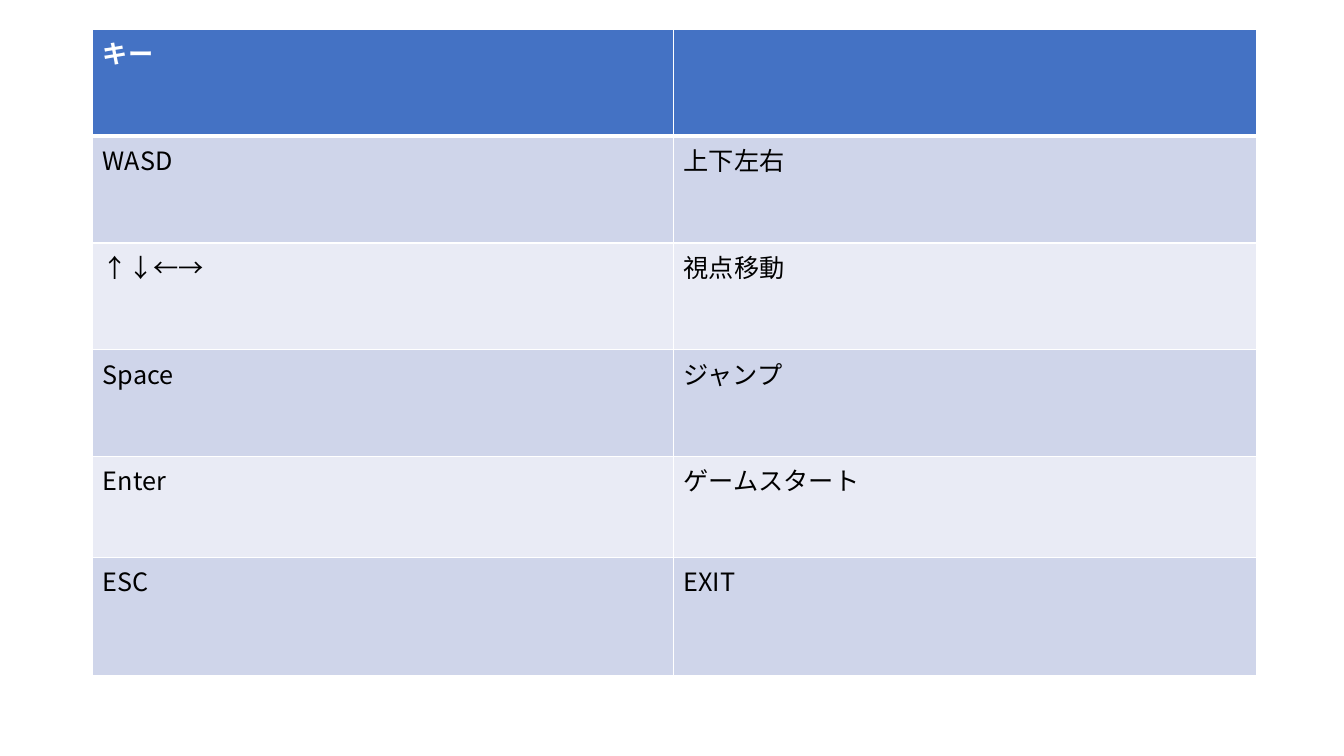
from lxml.etree import SubElement
from pptx import Presentation
from pptx.dml.color import RGBColor
from pptx.oxml import parse_xml
from pptx.oxml.ns import nsdecls, qn
from pptx.util import Inches, Pt

FONT = "Noto Sans CJK JP"
COLORS = {
    "header": "4472C4",
    "odd": "CFD5EA",
    "even": "E9EBF5",
    "border": "FFFFFF",
    "header_text": "FFFFFF",
    "text": "000000",
}
KEY_BINDINGS = [
    ("キー", ""),
    ("WASD", "上下左右"),
    ("↑↓←→", "視点移動"),
    ("Space", "ジャンプ"),
    ("Enter", "ゲームスタート"),
    ("ESC", "EXIT"),
]
LEFT, TOP = 0.92, 0.29
COLUMN_WIDTHS = [5.76, 5.78]
ROW_HEIGHTS = [1.06] * 4 + [1, 1.17]


def set_borders(cell, widths):
    properties = cell._tc.get_or_add_tcPr()
    for position, (side, width) in enumerate(widths.items()):
        line = parse_xml(
            f'<a:ln{side} {nsdecls("a")} w="{Pt(width)}"><a:solidFill>'
            f'<a:srgbClr val="{COLORS["border"]}"/></a:solidFill></a:ln{side}>'
        )
        properties.insert(position, line)


def format_text(cell, text, color, bold):
    paragraph = cell.text_frame.paragraphs[0]
    paragraph.text = text
    for run in paragraph.runs:
        run.font.name = FONT
        run.font.size = Pt(18)
        run.font.bold = bold
        run.font.color.rgb = RGBColor.from_string(COLORS[color])
        SubElement(run.font._element, qn("a:ea"), typeface=FONT)


def fill_cell(cell, text, row_index):
    is_header = row_index == 0
    band = "header" if is_header else "odd" if row_index % 2 else "even"
    cell.fill.solid()
    cell.fill.fore_color.rgb = RGBColor.from_string(COLORS[band])
    format_text(cell, text, "header_text" if is_header else "text", is_header)
    top = 3 if row_index == 1 else 1
    bottom = 3 if is_header else 1
    set_borders(cell, {"L": 1, "R": 1, "T": top, "B": bottom})


def add_key_table(slide):
    shape = slide.shapes.add_table(
        len(ROW_HEIGHTS), len(COLUMN_WIDTHS), Inches(LEFT), Inches(TOP),
        Inches(sum(COLUMN_WIDTHS)), Inches(sum(ROW_HEIGHTS)),
    )
    table = shape.table
    for column, width in zip(table.columns, COLUMN_WIDTHS):
        column.width = Inches(width)
    for row, height in zip(table.rows, ROW_HEIGHTS):
        row.height = Inches(height)
    for row_index, texts in enumerate(KEY_BINDINGS):
        for column_index, text in enumerate(texts):
            fill_cell(table.cell(row_index, column_index), text, row_index)


def main():
    presentation = Presentation()
    presentation.slide_width = Inches(13.33)
    presentation.slide_height = Inches(7.5)
    slide = presentation.slides.add_slide(presentation.slide_layouts[6])
    add_key_table(slide)
    presentation.save("out.pptx")


if __name__ == "__main__":
    main()
